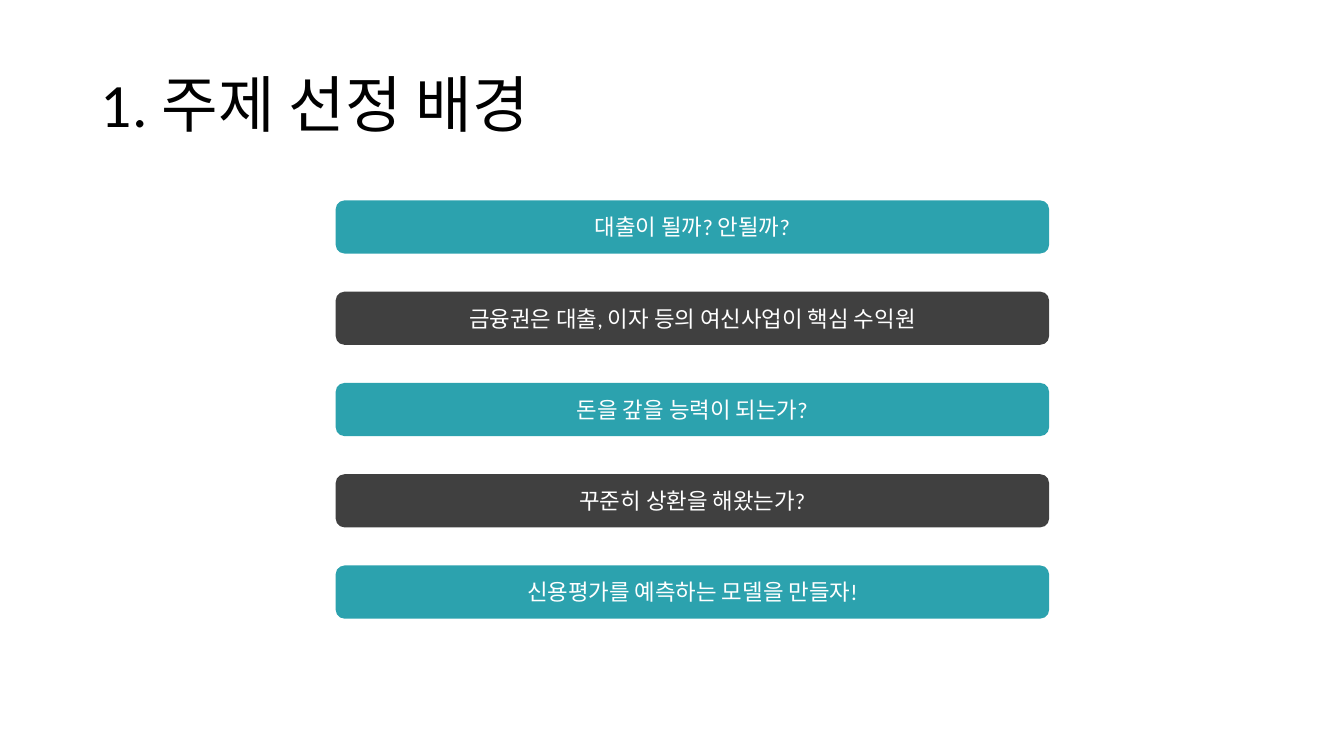
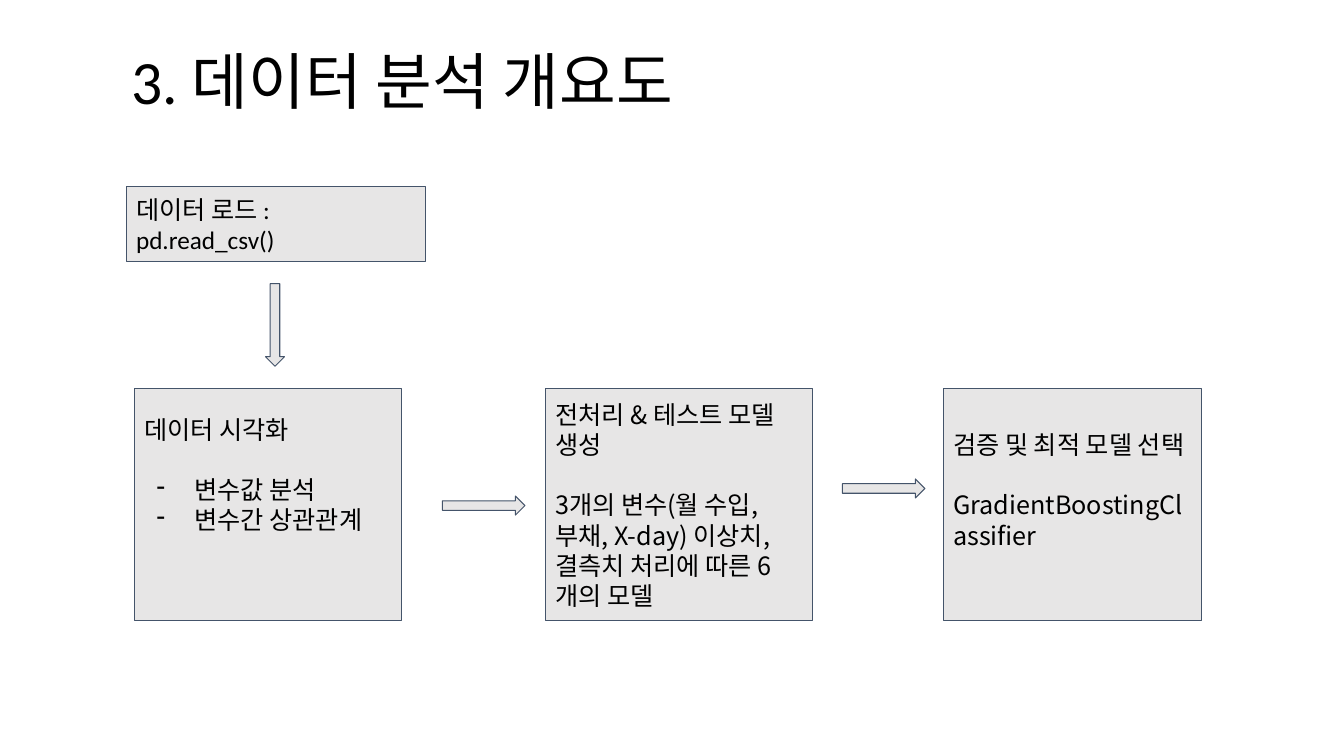
from lxml.etree import SubElement
from pptx import Presentation
from pptx.dml.color import RGBColor
from pptx.enum.shapes import MSO_SHAPE
from pptx.enum.text import MSO_ANCHOR, MSO_AUTO_SIZE, PP_ALIGN
from pptx.oxml.ns import qn
from pptx.util import Cm, Pt

BLACK = RGBColor(0x00, 0x00, 0x00)
WHITE = RGBColor(0xFF, 0xFF, 0xFF)
TEAL = RGBColor(0x2C, 0xA2, 0xAE)
CHARCOAL = RGBColor(0x40, 0x40, 0x40)
GRAY = RGBColor(0xE7, 0xE6, 0xE6)
NAVY = RGBColor(0x44, 0x54, 0x6A)

LATIN = "Calibri"
KOREAN = "Noto Sans CJK KR"
LINE = Pt(21.6)
INSET = Cm(0.25)

QUESTIONS = [
    "대출이 될까? 안될까?",
    "금융권은 대출, 이자 등의 여신사업이 핵심 수익원",
    "돈을 갚을 능력이 되는가?",
    "꾸준히 상환을 해왔는가?",
    "신용평가를 예측하는 모델을 만들자!",
]
BAR_LEFT, BAR_TOP, BAR_WIDTH, BAR_HEIGHT, BAR_PITCH = 8.46, 5.05, 17.98, 1.34, 2.3

STEP_TOP, STEP_HEIGHT = 9.8, 5.84
STEPS = [
    {"at": (3.18, 4.7, 7.54, 1.9), "raised": 0,
     "head": [("데이터 로드 :\npd.read_csv()", LATIN)], "body": []},
    {"at": (3.38, STEP_TOP, 6.73, STEP_HEIGHT), "raised": 2, "bullet": "-",
     "head": [("데이터 시각화", LATIN)],
     "body": [("변수값 분석", LATIN), ("변수간 상관관계", LATIN)]},
    {"at": (13.74, STEP_TOP, 6.73, STEP_HEIGHT), "raised": 0,
     "head": [("전처리 & 테스트 모델 생성", KOREAN)],
     "body": [("3개의 변수(월 수입, 부채, X-day) 이상치, 결측치 처리에 따른 6개의 모델", KOREAN)]},
    {"at": (23.77, STEP_TOP, 6.5, STEP_HEIGHT), "raised": 1,
     "head": [("검증 및 ", KOREAN), ("최적 모델 선택", LATIN)],
     "body": [("GradientBoostingClassifier", KOREAN)]},
]
ARROW_SIZE = (2.08, 0.48)
ARROWS = [(5.89, 7.95, 90), (11.15, 12.5, 0), (21.23, 12.07, 0)]


def apply(obj, **values):
    for name, value in values.items():
        setattr(obj, name, value)


def add_text(p, text, size, color, font=LATIN):
    for i, line in enumerate(text.split("\n")):
        if i:
            p.add_line_break()
        r = p.add_run()
        r.text = line
        apply(r.font, size=Pt(size), name=font)
        r.font.color.rgb = color


def add_titled_slide(prs, text, box):
    s = prs.slides.add_slide(prs.slide_layouts[5])
    title = s.shapes.title
    apply(title, **dict(zip(("left", "top", "width", "height"), map(Cm, box))))
    tf = title.text_frame
    apply(tf, word_wrap=True, auto_size=MSO_AUTO_SIZE.NONE, vertical_anchor=MSO_ANCHOR.MIDDLE)
    p = tf.paragraphs[0]
    apply(p, alignment=PP_ALIGN.LEFT, line_spacing=0.9)
    add_text(p, text, 44, BLACK)
    return s


def add_block(s, kind, box, fill, line=None):
    sp = s.shapes.add_shape(kind, *map(Cm, box))
    sp.shadow.inherit = False
    sp.fill.solid()
    sp.fill.fore_color.rgb = fill
    if line is None:
        sp.line.fill.background()
    else:
        sp.line.color.rgb = line
        sp.line.width = Pt(0.75)
    apply(sp.text_frame, word_wrap=True, vertical_anchor=MSO_ANCHOR.MIDDLE)
    return sp


def add_bullet(p, char):
    pPr = p._p.get_or_add_pPr()
    pPr.set("marL", str(Cm(1.27)))
    pPr.set("indent", str(-Cm(0.95)))
    SubElement(pPr, qn("a:buChar")).set("char", char)


def add_step(s, step):
    sp = add_block(s, MSO_SHAPE.RECTANGLE, step["at"], GRAY, NAVY)
    tf = sp.text_frame
    apply(tf, margin_left=INSET, margin_right=INSET, margin_top=INSET,
          margin_bottom=INSET + step["raised"] * LINE)
    p = tf.paragraphs[0]
    apply(p, alignment=PP_ALIGN.LEFT, line_spacing=LINE)
    for text, font in step["head"]:
        add_text(p, text, 18, BLACK, font)
    for i, (text, font) in enumerate(step["body"]):
        p = tf.add_paragraph()
        apply(p, alignment=PP_ALIGN.LEFT, line_spacing=LINE,
              space_before=Pt(0) if i else LINE)
        add_text(p, text, 18, BLACK, font)
        if "bullet" in step:
            add_bullet(p, step["bullet"])


def build_background(prs):
    s = add_titled_slide(prs, "1. 주제 선정 배경", (2.29, 0.86, 29.21, 3.68))
    for i, question in enumerate(QUESTIONS):
        box = (BAR_LEFT, BAR_TOP + i * BAR_PITCH, BAR_WIDTH, BAR_HEIGHT)
        sp = add_block(s, MSO_SHAPE.ROUNDED_RECTANGLE, box, CHARCOAL if i % 2 else TEAL)
        p = sp.text_frame.paragraphs[0]
        p.alignment = PP_ALIGN.CENTER
        add_text(p, question, 16, WHITE)


def build_overview(prs):
    s = add_titled_slide(prs, "3. 데이터 분석 개요도", (3.05, 0.99, 21.89, 2.29))
    for step in STEPS:
        add_step(s, step)
    for left, top, angle in ARROWS:
        sp = add_block(s, MSO_SHAPE.RIGHT_ARROW, (left, top, *ARROW_SIZE), GRAY, NAVY)
        sp.rotation = angle


def main():
    prs = Presentation()
    apply(prs, slide_width=Cm(33.87), slide_height=Cm(19.05))
    build_background(prs)
    build_overview(prs)
    prs.save("out.pptx")


if __name__ == "__main__":
    main()
